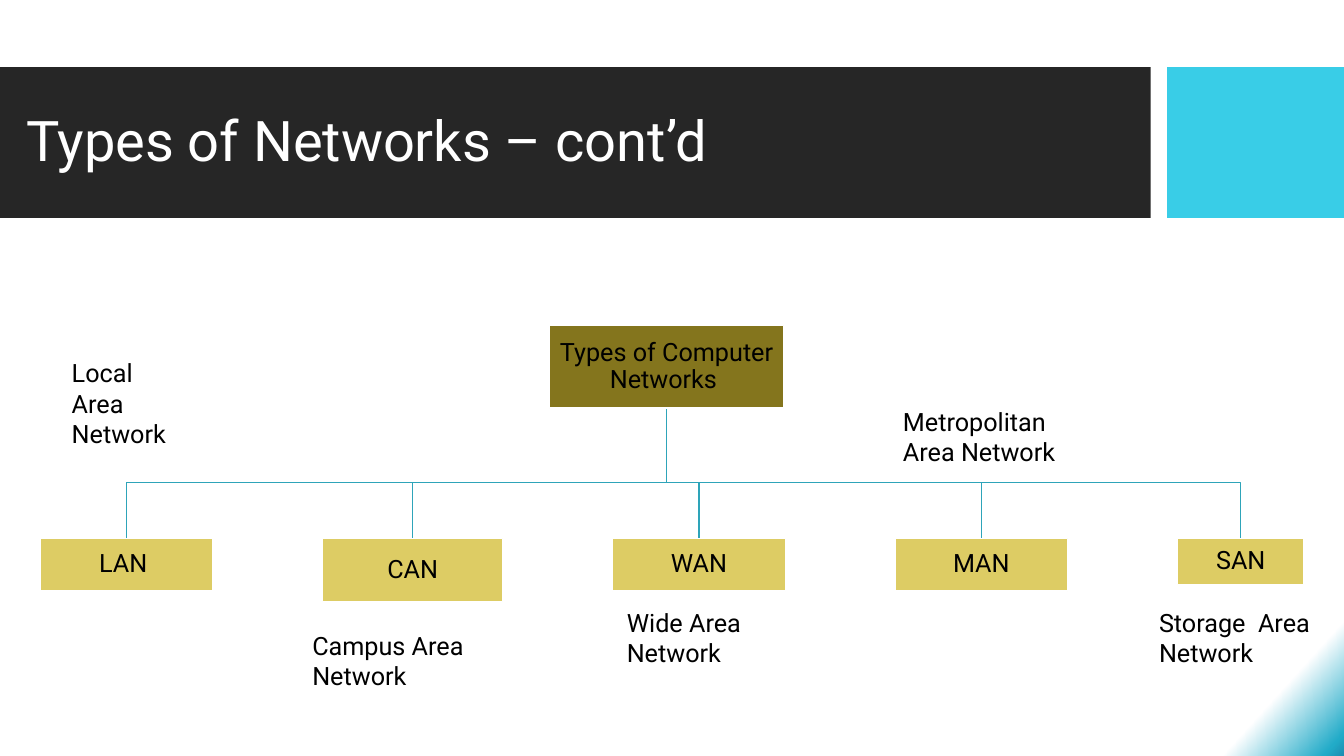
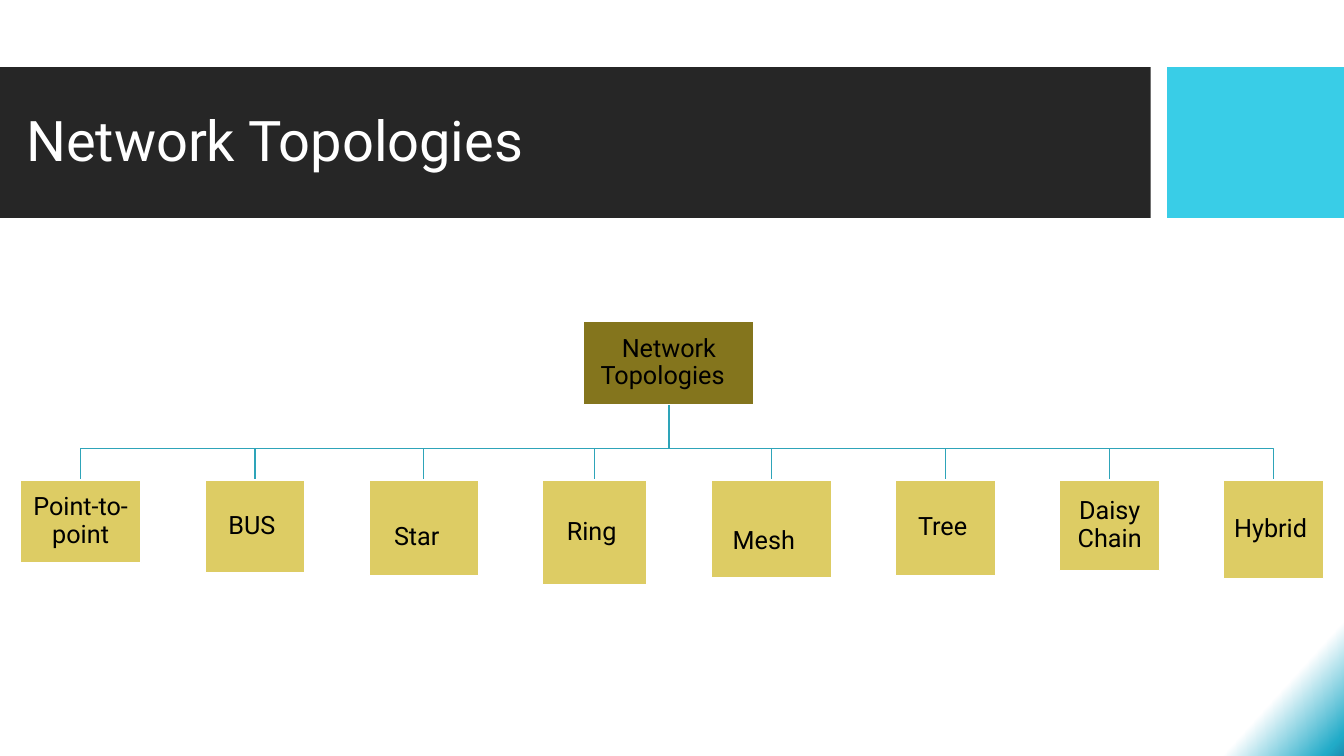
from dataclasses import dataclass

from lxml.etree import SubElement
from pptx import Presentation
from pptx.dml.color import RGBColor
from pptx.enum.shapes import MSO_SHAPE as Preset
from pptx.enum.text import MSO_ANCHOR as Anchor, PP_ALIGN as Align
from pptx.oxml.ns import qn
from pptx.util import Inches, Pt

WIDTH, HEIGHT = Inches(13.33), Inches(7.5)
FONT = "Roboto"
COLORS = {
    "band": "262626",
    "accent": "39CDE7",
    "root": "84751D",
    "leaf": "DDCC64",
    "line": "2EA4B9",
    "white": "FFFFFF",
    "black": "000000",
}
BACKGROUND_STOPS = [(94, "FFFFFF"), (99, "21ABC8"), (100, "1C8DB1"), (100, "0C2263")]
BACKGROUND_ANGLE = 42
BAND_TOP, BAND_HEIGHT = 8.9, 19.95
ROOT_HEIGHT = 10.95
NOTE_HEIGHT = 12.7


@dataclass
class Leaf:
    text: str
    width: float
    height: float
    space_size: int = 0


@dataclass
class Tree:
    root_text: str
    root_center: float
    root_top: float
    root_width: float
    bus_top: float
    leaf_top: float
    gap: float
    leaves: list


NETWORK_TREE = Tree(
    "Types of Computer Networks ", 49.6, 43.05, 17.4, 63.85, 71.2, 8.17,
    [
        Leaf("LAN ", 12.85, 7),
        Leaf("CAN", 13.4, 8.35),
        Leaf("WAN", 12.85, 7),
        Leaf("MAN", 12.85, 7),
        Leaf("SAN", 9.4, 6.1),
    ],
)
NETWORK_NOTES = [
    ("Local Area Network", 4.6, 46.65, 10.3),
    ("Campus Area Network", 22.5, 82.7, 13.9),
    ("Wide Area Network", 45.9, 79.65, 13.9),
    ("Metropolitan Area Network", 66.45, 53.1, 13.9),
    ("Storage  Area Network", 85.5, 79.65, 13.9),
]
TOPOLOGY_TREE = Tree(
    "Network Topologies  ", 49.77, 42.55, 12.7, 59.35, 63.5, 4.75,
    [
        Leaf("Point-to-point", 9, 10.9),
        Leaf("BUS ", 7.45, 12.2),
        Leaf("Star", 8.15, 12.65, 40),
        Leaf("Ring ", 7.8, 13.8),
        Leaf("Mesh", 9, 12.95, 44),
        Leaf("Tree ", 7.45, 12.6),
        Leaf("Daisy Chain", 7.45, 12),
        Leaf("Hybrid ", 7.45, 13),
    ],
)


def across(percent):
    return round(WIDTH * percent / 100)


def down(percent):
    return round(HEIGHT * percent / 100)


def area(left, top, width, height):
    return across(left), down(top), across(width), down(height)


def color(name):
    return RGBColor.from_string(COLORS[name])


def style_paragraph(paragraph, size, color_name, align=Align.LEFT):
    paragraph.alignment = align
    paragraph.font.name = FONT
    paragraph.font.size = Pt(size)
    paragraph.font.color.rgb = color(color_name)


def add_rectangle(slide, bounds, fill_name):
    shape = slide.shapes.add_shape(Preset.RECTANGLE, *area(*bounds))
    shape.shadow.inherit = False
    shape.fill.solid()
    shape.fill.fore_color.rgb = color(fill_name)
    shape.line.fill.background()
    return shape


def add_box(slide, bounds, fill_name, text, space_size=0):
    shape = add_rectangle(slide, bounds, fill_name)
    shape.line.color.rgb = color("white")
    shape.line.width = Pt(1)
    frame = shape.text_frame
    frame.word_wrap = True
    frame.vertical_anchor = Anchor.MIDDLE
    frame.margin_left = frame.margin_right = Inches(0.01)
    frame.margin_top = frame.margin_bottom = Inches(0.01)
    paragraph = frame.paragraphs[0]
    paragraph.add_run().text = text
    style_paragraph(paragraph, 18, "black", Align.CENTER)
    paragraph.line_spacing = 0.9
    if space_size:
        space = paragraph.add_run()
        space.text = " "
        space.font.size = Pt(space_size)


def add_branch(slide, tree, leaf_center):
    root_x, leaf_x = across(tree.root_center), across(leaf_center)
    bus_y = down(tree.bus_top)
    builder = slide.shapes.build_freeform(root_x, down(tree.root_top + ROOT_HEIGHT))
    bends = [(root_x, bus_y), (leaf_x, bus_y), (leaf_x, down(tree.leaf_top))]
    builder.add_line_segments(bends, close=False)
    branch = builder.convert_to_shape()
    branch.shadow.inherit = False
    branch.fill.background()
    branch.line.color.rgb = color("line")
    branch.line.width = Pt(1)


def add_note(slide, text, left, top, width):
    frame = slide.shapes.add_textbox(*area(left, top, width, NOTE_HEIGHT)).text_frame
    frame.word_wrap = True
    frame.text = text
    style_paragraph(frame.paragraphs[0], 18, "black")


def add_tree(slide, tree):
    leaves = tree.leaves
    total = sum(leaf.width for leaf in leaves) + tree.gap * (len(leaves) - 1)
    left = (100 - total) / 2
    lefts = []
    for leaf in leaves:
        lefts.append(left)
        left += leaf.width + tree.gap

    for left, leaf in reversed(list(zip(lefts, leaves))):
        add_branch(slide, tree, left + leaf.width / 2)

    root_left = tree.root_center - tree.root_width / 2
    add_box(slide, (root_left, tree.root_top, tree.root_width, ROOT_HEIGHT), "root", tree.root_text)
    for left, leaf in zip(lefts, leaves):
        bounds = (left, tree.leaf_top, leaf.width, leaf.height)
        add_box(slide, bounds, "leaf", leaf.text, leaf.space_size)


def set_background(layout):
    fill = layout.background.fill
    fill.gradient()
    fill.gradient_angle = 360 - BACKGROUND_ANGLE
    stops = layout.element.find(".//" + qn("a:gsLst"))
    stops.clear()
    for position, hex_color in BACKGROUND_STOPS:
        stop = SubElement(stops, qn("a:gs"), pos=str(position * 1000))
        SubElement(stop, qn("a:srgbClr"), val=hex_color)


def design_layout(layout, slide):
    set_background(layout)
    bands = [
        add_rectangle(slide, (0, BAND_TOP, 85.62, BAND_HEIGHT), "band"),
        add_rectangle(slide, (86.85, BAND_TOP, 13.15, BAND_HEIGHT), "accent"),
    ]
    for index, band in enumerate(bands, start=2):
        layout.shapes.element.insert(index, band.element)
    title = layout.placeholders[0]
    title.left, title.top, title.width, title.height = area(1.2, 11.05, 83.3, 15.7)


def set_title(slide, text):
    frame = slide.shapes.title.text_frame
    frame.text = text
    frame.vertical_anchor = Anchor.MIDDLE
    paragraph = frame.paragraphs[0]
    style_paragraph(paragraph, 40, "white")
    paragraph.line_spacing = 0.9


def main():
    presentation = Presentation()
    presentation.slide_width, presentation.slide_height = WIDTH, HEIGHT
    layout = presentation.slide_layouts[5]

    types_slide = presentation.slides.add_slide(layout)
    design_layout(layout, types_slide)
    set_title(types_slide, "Types of Networks – cont’d")
    add_tree(types_slide, NETWORK_TREE)
    for note in NETWORK_NOTES:
        add_note(types_slide, *note)

    topologies_slide = presentation.slides.add_slide(layout)
    set_title(topologies_slide, "Network Topologies")
    add_tree(topologies_slide, TOPOLOGY_TREE)

    presentation.save("out.pptx")


if __name__ == "__main__":
    main()
